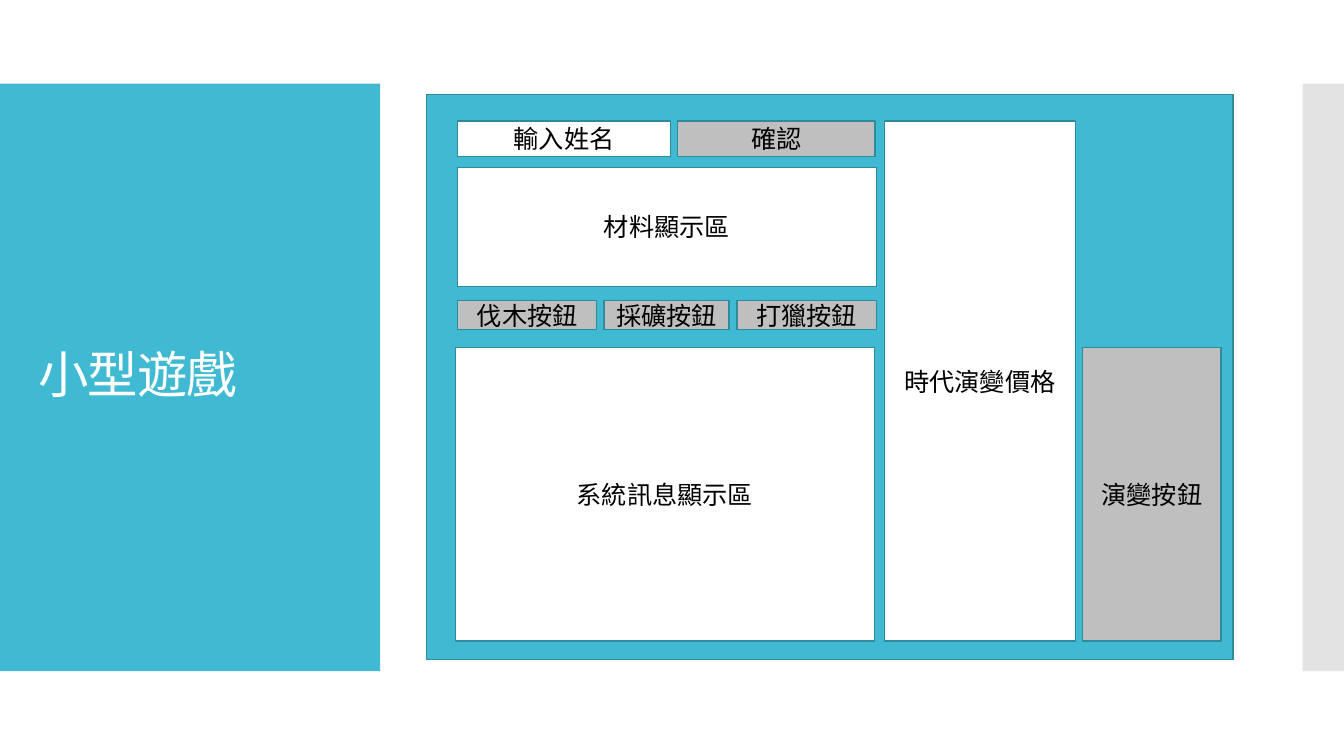
from dataclasses import dataclass
from typing import Optional

import pptx
import pptx.dml.color
import pptx.enum.shapes
import pptx.enum.text
import pptx.oxml
import pptx.oxml.ns
import pptx.util

EMU_PER_PX = 9144
ALIGN = pptx.enum.text.PP_ALIGN


@dataclass(frozen=True)
class Theme:
    font: str = "Calibri"
    accent: str = "40BAD2"
    edge: str = "2F8A9B"
    strip: str = "C8C8C8"
    field: str = "FFFFFF"
    button: str = "BFBFBF"
    ink: str = "000000"
    title_ink: str = "FFFFFF"
    title_size: int = 36
    label_size: int = 18
    edge_width: float = 0.85


@dataclass(frozen=True)
class Box:
    left: int
    top: int
    width: int
    height: int
    fill: str
    text: str = ""
    edge: Optional[str] = None
    opacity: int = 100


THEME = Theme()

BANDS = [
    Box(0, 83, 377, 583, THEME.accent),
    Box(1292, 83, 41, 583, THEME.strip, opacity=50),
]

WINDOW = Box(423, 94, 800, 560, THEME.accent, edge=THEME.edge)

PANELS = [
    Box(left, top, width, height, fill, text, THEME.edge)
    for left, top, width, height, fill, text in [
        (454, 120, 211, 35, THEME.field, "輸入姓名"),
        (672, 120, 196, 35, THEME.button, "確認"),
        (454, 166, 415, 118, THEME.field, "材料顯示區"),
        (454, 298, 138, 29, THEME.button, "伐木按鈕"),
        (599, 298, 124, 29, THEME.button, "採礦按鈕"),
        (731, 298, 138, 29, THEME.button, "打獵按鈕"),
        (452, 345, 415, 291, THEME.field, "系統訊息顯示區"),
        (877, 120, 190, 516, THEME.field, "時代演變價格"),
        (1074, 345, 137, 291, THEME.button, "演變按鈕"),
    ]
]


def px(n: int) -> pptx.util.Emu:
    return pptx.util.Emu(n * EMU_PER_PX)


def rgb(value: str) -> pptx.dml.color.RGBColor:
    return pptx.dml.color.RGBColor.from_string(value)


def write(sp, text: str, *, size: int, color: str, align=ALIGN.CENTER,
          line_spacing: float = 1.0, tracking: int = 0) -> None:
    tf = sp.text_frame
    tf.word_wrap = True
    tf.auto_size = pptx.enum.text.MSO_AUTO_SIZE.NONE
    tf.vertical_anchor = pptx.enum.text.MSO_ANCHOR.MIDDLE
    p = tf.paragraphs[0]
    p.alignment = align
    p.line_spacing = line_spacing
    r = p.add_run()
    r.text = text
    r.font.name = THEME.font
    r.font.size = pptx.util.Pt(size)
    r.font.color.rgb = rgb(color)
    if tracking:
        r.font._element.set("spc", str(tracking))


def draw_box(s, box: Box) -> None:
    sp = s.shapes.add_shape(
        pptx.enum.shapes.MSO_SHAPE.RECTANGLE,
        px(box.left), px(box.top), px(box.width), px(box.height))
    sp.shadow.inherit = False
    sp.fill.solid()
    sp.fill.fore_color.rgb = rgb(box.fill)
    if box.opacity < 100:
        clr = sp.element.spPr.find(".//" + pptx.oxml.ns.qn("a:srgbClr"))
        alpha = pptx.oxml.parse_xml(
            f'<a:alpha {pptx.oxml.ns.nsdecls("a")} val="{box.opacity * 1000}"/>')
        clr.append(alpha)
    if box.edge:
        sp.line.color.rgb = rgb(box.edge)
        sp.line.width = pptx.util.Pt(THEME.edge_width)
    else:
        sp.line.fill.background()
    if box.text:
        write(sp, box.text, size=THEME.label_size, color=THEME.ink)


def draw_title(s, text: str) -> None:
    sp = s.shapes.title
    sp.left, sp.top, sp.width, sp.height = px(28), px(123), px(322), px(503)
    write(sp, text, size=THEME.title_size, color=THEME.title_ink,
          align=ALIGN.LEFT, line_spacing=0.9, tracking=-60)
    sp.element.getparent().append(sp.element)


def main() -> None:
    prs = pptx.Presentation()
    prs.slide_width, prs.slide_height = px(1333), px(750)
    s = prs.slides.add_slide(prs.slide_layouts[5])
    for band in BANDS:
        draw_box(s, band)
    draw_title(s, "小型遊戲")
    for box in [WINDOW, *PANELS]:
        draw_box(s, box)
    prs.save("out.pptx")


if __name__ == "__main__":
    main()
